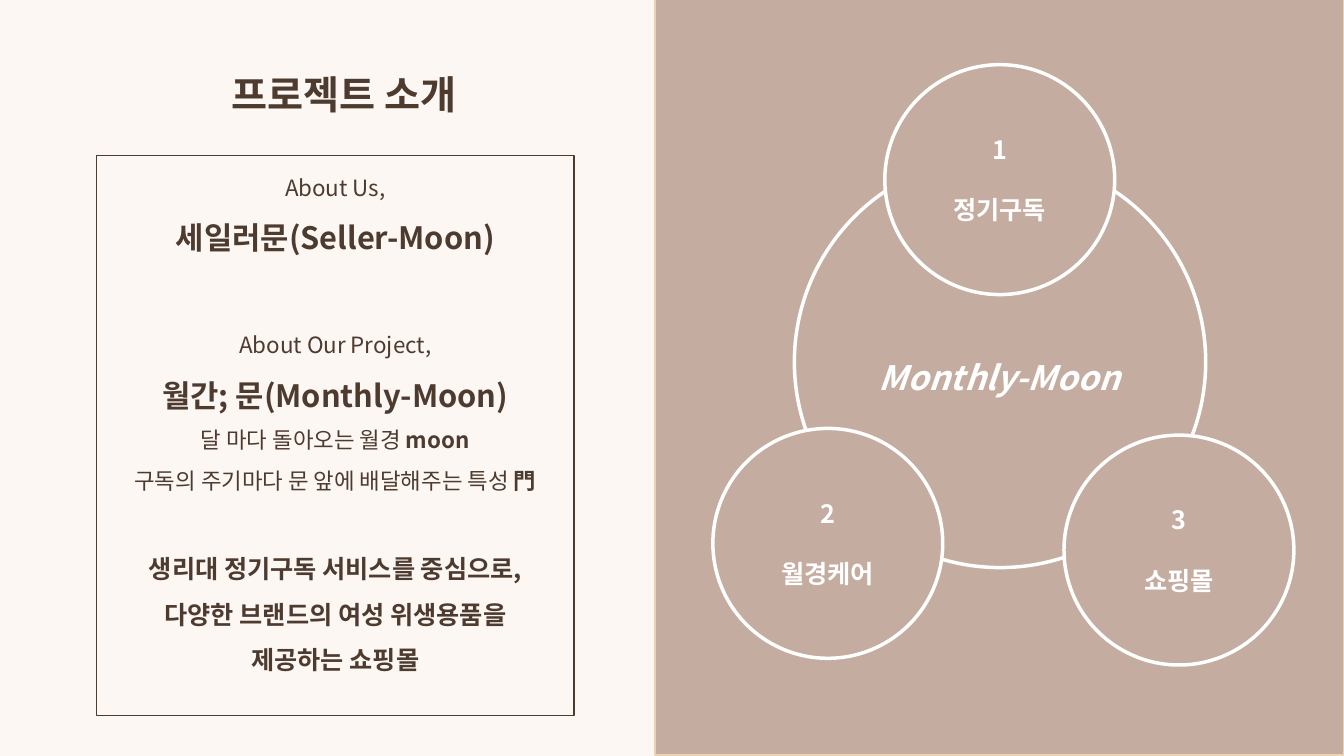
from pptx import Presentation
from pptx.util import Pt
from pptx.dml.color import RGBColor as RGB
from pptx.enum.shapes import MSO_SHAPE as Kind
from pptx.enum.text import PP_ALIGN as Align, MSO_ANCHOR as Anchor
from lxml.etree import SubElement
from pptx.oxml.ns import qn

FONT = "Noto Sans CJK KR"
CREAM, ROSE, SAND = "FCF7F2", "C4ADA0", "EAD3B1"
BROWN, WHITE = "4E3B30", "FFFFFF"


def draw(host, kind, box, fill=None, line=None, width=1):
    shape = host.add_shape(kind, *[Pt(n) for n in box])
    shape.shadow.inherit = False
    if fill:
        shape.fill.solid()
        shape.fill.fore_color.rgb = RGB.from_string(fill)
    else:
        shape.fill.background()
    if line:
        shape.line.color.rgb = RGB.from_string(line)
        shape.line.width = Pt(width)
    else:
        shape.line.fill.background()
    return shape


def style(para, size, color, bold=True, italic=False):
    para.alignment = Align.CENTER
    for run in para.runs:
        font = run.font
        font.size, font.bold, font.italic = Pt(size), bold, italic
        font.color.rgb = RGB.from_string(color)
        font.name = FONT
        SubElement(font._element, qn("a:ea")).set("typeface", FONT)


deck = Presentation()
deck.slide_width, deck.slide_height = Pt(960), Pt(540)
slide = deck.slides.add_slide(deck.slide_layouts[6])
shapes = slide.shapes

# Two halves of the background
draw(shapes, Kind.RECTANGLE, (0, 0, 960, 540), CREAM)
draw(shapes, Kind.RECTANGLE, (468, -0.7, 492, 540), ROSE, SAND)

# Ring with three services
ring = shapes.add_group_shape().shapes
draw(ring, Kind.OVAL, (567.4, 111.6, 293.8, 293.8), None, WHITE, 2.5)
for num, name, left, top in [("2", "월경케어", 509.2, 306),
                             ("1", "정기구독", 632, 46.2),
                             ("3", "쇼핑몰", 760, 310.8)]:
    disc = draw(ring, Kind.OVAL, (left, top, 164.2, 164.2), ROSE, WHITE, 2.5)
    frame = disc.text_frame
    frame.vertical_anchor = Anchor.MIDDLE
    frame.text = num + "\n" + name
    for para in frame.paragraphs:
        style(para, 18, WHITE)
    frame.paragraphs[1].space_before = Pt(21.5)

# Ring label and slide title
for host, text, box, size, color, slant in [
        (ring, "Monthly-Moon", (610.6, 251.3, 206.6, 36), 24, WHITE, True),
        (shapes, "프로젝트 소개", (136, 46.8, 218.9, 41), 28, BROWN, False)]:
    label = host.add_textbox(*[Pt(n) for n in box])
    frame = label.text_frame
    frame.word_wrap = True
    frame.text = text
    style(frame.paragraphs[0], size, color, italic=slant)

# Framed introduction: text, bold ending, size, bold, space before
intro = [
    ("About Us,", "", 16, False, 0),
    ("세일러문(Seller-Moon)", "", 22, True, 0),
    ("About Our Project,", "", 16, False, 44),
    ("월간; 문(Monthly-Moon)", "", 22, True, 0),
    ("달 마다 돌아오는 월경 ", "moon", 16, False, 0),
    ("구독의 주기마다 문 앞에 배달해주는 특성 ", "門", 16, False, 0),
    ("생리대 정기구독 서비스를 중심으로,", "", 18, True, 32),
    ("다양한 브랜드의 여성 위생용품을\v제공하는 쇼핑몰", "", 18, True, 0),
]
panel = draw(shapes, Kind.RECTANGLE, (69.1, 110.9, 340.9, 400), None, BROWN)
frame = panel.text_frame
frame.word_wrap = True
frame.vertical_anchor = Anchor.TOP
for i, (text, tail, size, bold, gap) in enumerate(intro):
    para = frame.add_paragraph() if i else frame.paragraphs[0]
    para.text = text
    if tail:
        para.add_run().text = tail
    para.line_spacing = 1.5
    if gap:
        para.space_before = Pt(gap)
    style(para, size, BROWN, bold)
    if tail:
        para.runs[-1].font.bold = True

deck.save("out.pptx")
